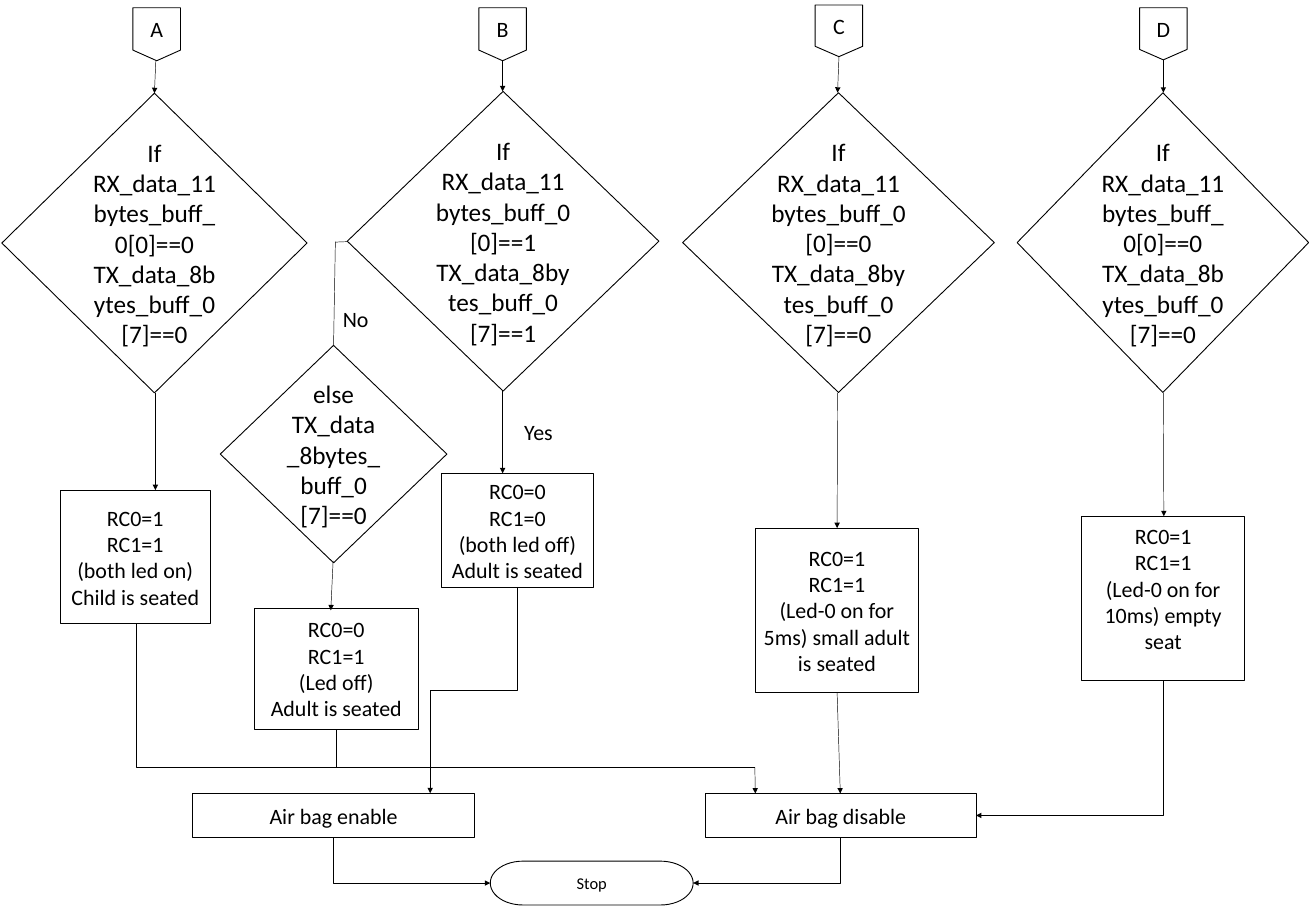
"""Build the air bag flowchart slide."""
from lxml import etree
from pptx import Presentation
from pptx.dml.color import RGBColor
from pptx.enum import shapes, text
from pptx.oxml import ns
from pptx.util import Pt

BLACK = RGBColor(0, 0, 0)
WHITE = RGBColor(255, 255, 255)
KIND = shapes.MSO_SHAPE
STRAIGHT = shapes.MSO_CONNECTOR.STRAIGHT
ELBOW = shapes.MSO_CONNECTOR.ELBOW

deck = Presentation()
deck.slide_width, deck.slide_height = Pt(1440), Pt(1008)
slide = deck.slides.add_slide(deck.slide_layouts[6])


def write(shape, words, size, align):
    frame = shape.text_frame
    frame.word_wrap = True
    frame.text = words
    for para in frame.paragraphs:
        para.alignment = align
        for run in para.runs:
            run.font.name = "Calibri"
            run.font.size = Pt(size)
            run.font.color.rgb = BLACK


def link(kind, ends, arrow=None):
    line = slide.shapes.add_connector(kind, *[Pt(n) for n in ends])
    line.line.color.rgb = BLACK
    line.line.width = Pt(0.5)
    props = line._element.spPr
    if arrow:
        tip = etree.SubElement(line.line._get_or_add_ln(), ns.qn("a:" + arrow))
        tip.set("type", "triangle")
    etree.SubElement(props, ns.qn("a:effectLst"))
    return props


tests = [
    (2, 102, 334, 328, "If\nRX_data_11\nbytes_buff_0[0]==0\nTX_data_8bytes_buff_0\n[7]==0"),
    (380, 100, 341, 328, "If\nRX_data_11\nbytes_buff_0[0]==1\nTX_data_8bytes_buff_0\n[7]==1"),
    (747, 101.5, 341, 328, "If\nRX_data_11\nbytes_buff_0[0]==0\nTX_data_8bytes_buff_0\n[7]==0"),
    (1113, 101.5, 319, 328, "If\nRX_data_11\nbytes_buff_0[0]==0\nTX_data_8bytes_buff_0[7]==0"),
    (241, 378, 248, 238, "else\nTX_data_8bytes_buff_0\n[7]==0"),
]
steps = [
    (66, 536.5, 164, 146, "RC0=1\nRC1=1\n(both led on)\nChild is seated"),
    (483, 518.5, 166.5, 124, "RC0=0\nRC1=0\n(both led off)\nAdult is seated"),
    (826.5, 578, 178.5, 179.5, "RC0=1\nRC1=1\n(Led-0 on for 5ms) small adult is seated"),
    (1183.5, 565, 178.5, 179.5, "RC0=1\nRC1=1\n(Led-0 on for 10ms) empty seat"),
    (278, 665.5, 180, 132.5, "RC0=0\nRC1=1\n(Led off)\nAdult is seated"),
    (211, 868.5, 308, 48, "Air bag enable"),
    (772, 868.5, 296, 48, "Air bag disable"),
]
tabs = [
    (145.5, 8.5, 52, 58, "A"),
    (524, 8.5, 52, 58, "B"),
    (892, 5.5, 52, 56.5, "C"),
    (1247, 8.5, 52, 57, "D"),
]
stops = [(536.5, 942.5, 222, 48, "Stop")]
groups = [
    (KIND.FLOWCHART_DECISION, 27.6, tests),
    (KIND.FLOWCHART_PROCESS, 24, steps),
    (KIND.FLOWCHART_OFFPAGE_CONNECTOR, 24, tabs),
    (KIND.FLOWCHART_TERMINATOR, 18, stops),
]
for kind, size, nodes in groups:
    for *box, words in nodes:
        node = slide.shapes.add_shape(kind, *[Pt(n) for n in box])
        node.shadow.inherit = False
        node.fill.solid()
        node.fill.fore_color.rgb = WHITE
        node.line.color.rgb = BLACK
        node.line.width = Pt(1)
        write(node, words, size, text.PP_ALIGN.CENTER)
        frame = node.text_frame
        frame.vertical_anchor = text.MSO_ANCHOR.MIDDLE
        if kind == KIND.FLOWCHART_DECISION:
            frame.margin_left = frame.margin_right = Pt(11)
            frame.margin_top = frame.margin_bottom = Pt(5.5)
        if "empty seat" in words:
            frame.margin_bottom = Pt(25)

for left, top, words in [(566.5, 454.5, "Yes"), (368, 330.5, "No")]:
    label = slide.shapes.add_textbox(Pt(left), Pt(top), Pt(93), Pt(36))
    write(label, words, 24, text.PP_ALIGN.LEFT)

arrows = [
    (170.5, 67, 169, 102),
    (550, 67, 550, 100),
    (918, 62, 916.5, 101.5),
    (1273, 66, 1273, 101.5),
    (170, 430, 170, 536.5),
    (550, 428, 550, 518),
    (916.5, 430, 916, 578),
    (1273, 430, 1273.5, 565),
    (364.5, 614, 362, 668),
    (916, 758, 919.5, 868.5),
    (826, 840, 826.5, 868.5),
]
for ends in arrows:
    link(STRAIGHT, ends, "tailEnd")

plain = [
    (380, 264.5, 367, 265),
    (367, 264.5, 365, 378),
    (368, 798.5, 368, 840),
]
for ends in plain:
    link(STRAIGHT, ends)

bends = [
    ((536.5, 966.5, 365, 916.5), "headEnd"),
    ((758.5, 966.5, 919.5, 916.5), "headEnd"),
    ((1068, 892.5, 1273, 745), "headEnd"),
    ((826, 840, 149, 682), None),
]
for ends, arrow in bends:
    link(ELBOW, ends, arrow).prstGeom.set("prst", "bentConnector2")

drop = link(ELBOW, (405.5, 707.5, 631.5, 803), "tailEnd")
drop.xfrm.set("rot", "5400000")

deck.save("out.pptx")
